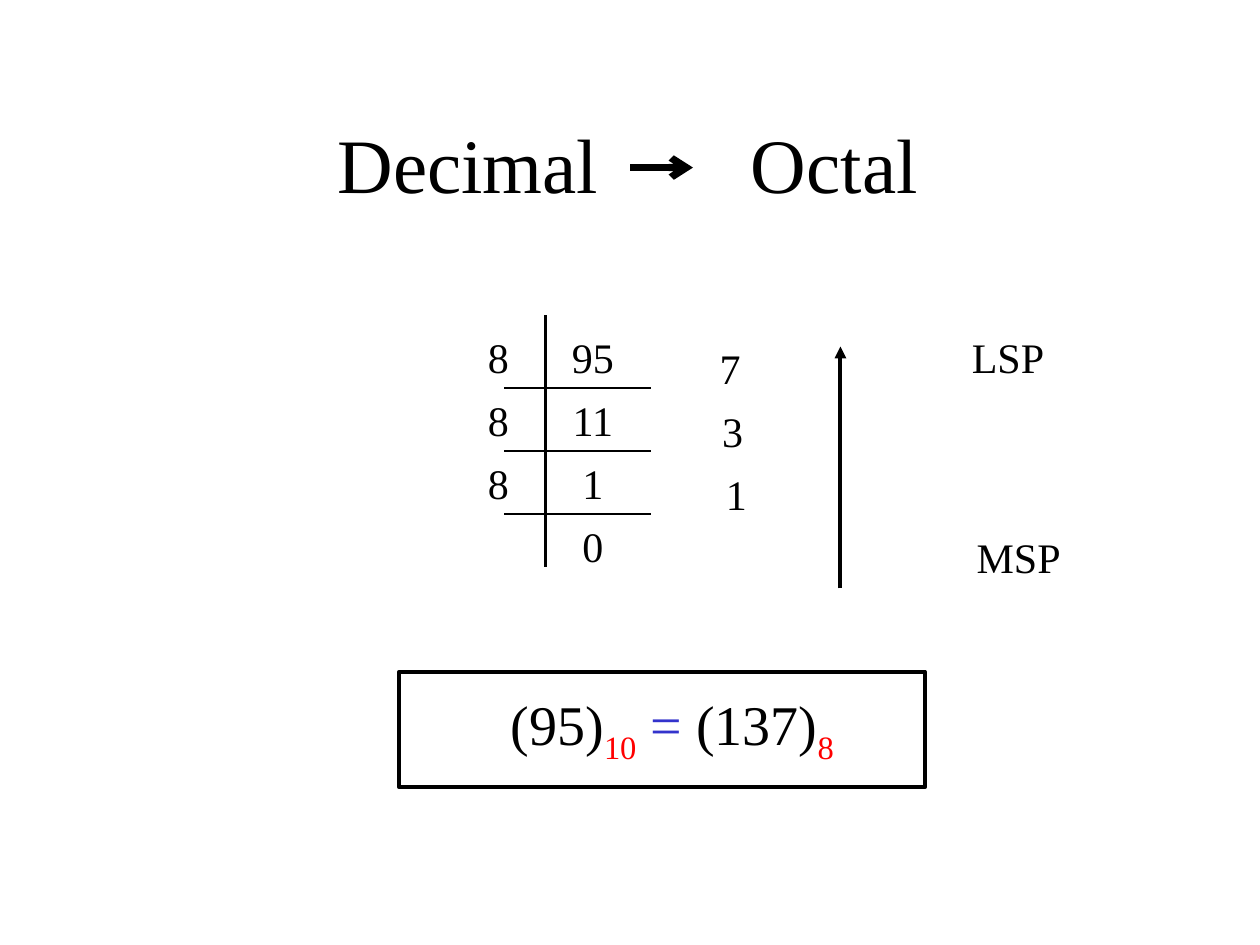
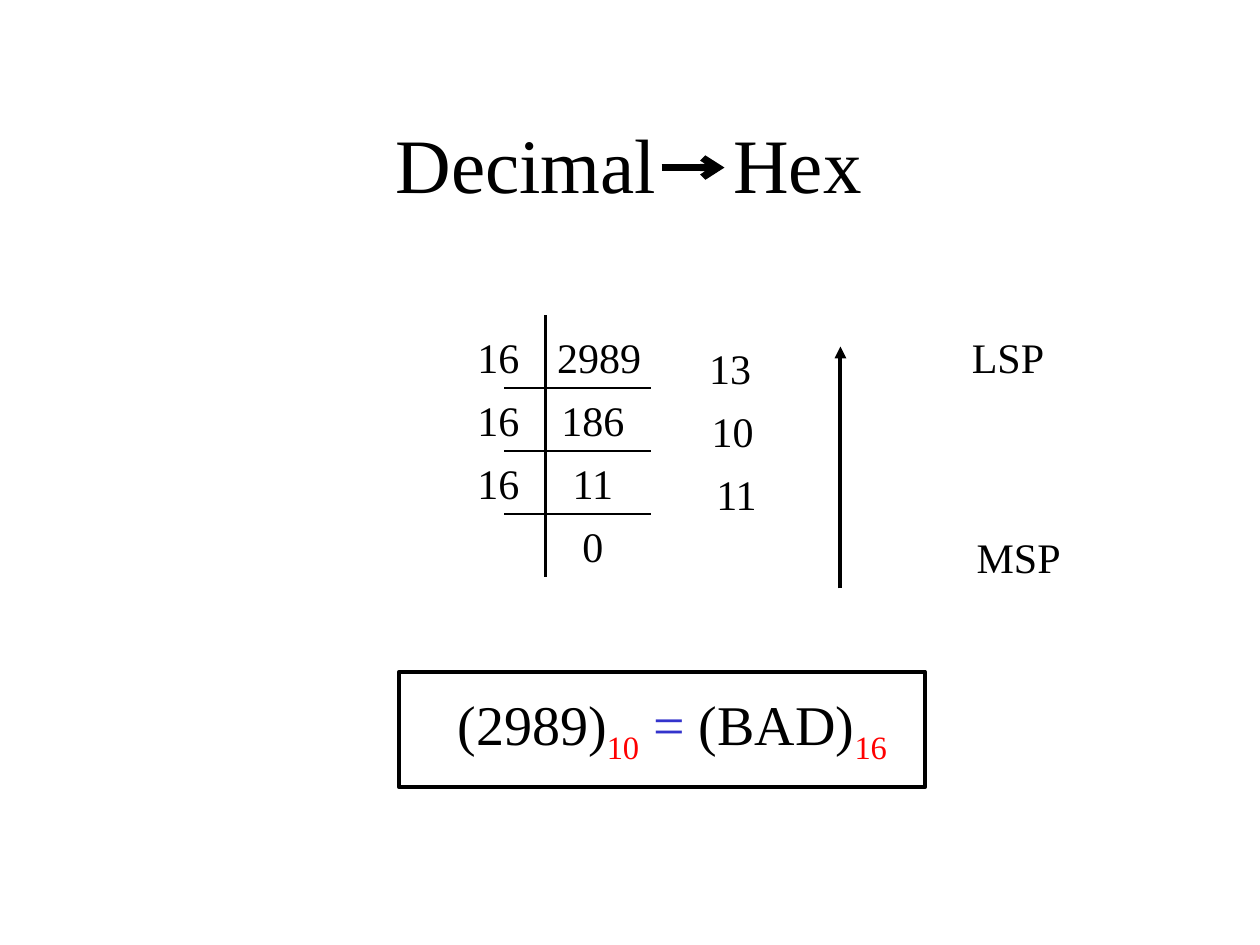
import pptx
import pptx.util
import pptx.dml.color
import pptx.enum.shapes
import pptx.enum.text
import pptx.oxml.ns
from lxml import etree

COLORS = {"ink": "000000", "base": "FF0000", "equals": "3333CC", "paper": "FFFFFF"}
FONT = "Times New Roman"
COLS, ROWS = 120, 90
STEP = 6
ALIGN = pptx.enum.text.PP_ALIGN
DIVISOR_COL, DIVIDEND_COL, REMAINDER_COL = 43, 52, 65
REMAINDER_SHIFTS = (0, 0.25, 0.7)

CONVERSIONS = [
    dict(words=("Decimal", "Octal"), word_cols=(32.2, 71.6), arrow_col=60,
         base="8", dividends=["95", "11", "1", "0"], remainders=["7", "3", "1"],
         bar_end=54, answer="137"),
    dict(words=("Decimal", "Hex"), word_cols=(37.7, 69.9), arrow_col=63,
         base="16", dividends=["2989", "186", "11", "0"], remainders=["13", "10", "11"],
         bar_end=55, answer="BAD"),
]


def grid(*units):
    return [pptx.util.Inches(round(u * 10 / COLS, 2)) for u in units]


def rgb(name):
    return pptx.dml.color.RGBColor.from_string(COLORS[name])


def sub(parent, tag, **attrs):
    return etree.SubElement(parent, pptx.oxml.ns.qn(tag), attrs)


def add_run(p, text, size=24, color="ink", baseline=None):
    r = p.add_run()
    r.text = text
    r.font.name = FONT
    r.font.size = pptx.util.Pt(size)
    r.font.color.rgb = rgb(color)
    if baseline:
        r._r.get_or_add_rPr().set("baseline", str(baseline * 1000))


def add_text(slide, col, row, width, height=STEP):
    tf = slide.shapes.add_textbox(*grid(col, row, width, height)).text_frame
    tf.word_wrap = True
    p = tf.paragraphs[0]
    p.alignment = ALIGN.CENTER
    return p


def add_label(slide, text, col, row, width=9):
    add_run(add_text(slide, col, row, width), text)


def add_line(slide, start, end, width, head=None):
    line = slide.shapes.add_connector(
        pptx.enum.shapes.MSO_CONNECTOR.STRAIGHT, *grid(*start, *end))
    line.line.color.rgb = rgb("ink")
    line.line.width = pptx.util.Pt(width)
    if head:
        sub(line.line._get_or_add_ln(), "a:tailEnd", type=head)
    sub(line._element.spPr, "a:effectLst")


def add_title(slide, words, word_cols, arrow_col):
    left, top, width, height = 9, 8, 102, 15
    sp = slide.shapes.title
    sp.left, sp.top, sp.width, sp.height = grid(left, top, width, height)
    tf = sp.text_frame
    tf.auto_size = pptx.enum.text.MSO_AUTO_SIZE.NONE
    tf.vertical_anchor = pptx.enum.text.MSO_ANCHOR.MIDDLE
    first, second = word_cols
    tf.margin_left, tab = grid(first - left, second - first)
    p = tf.paragraphs[0]
    p.alignment = ALIGN.LEFT
    tabs = sub(p._p.get_or_add_pPr(), "a:tabLst")
    sub(tabs, "a:tab", pos=str(int(tab)), algn="l")
    add_run(p, "\t".join(words), size=44)
    add_line(slide, (arrow_col, 16), (arrow_col + 6, 16), 4, head="arrow")


def add_division(slide, base, dividends, remainders, bar_end):
    add_line(slide, (DIVIDEND_COL, 30), (DIVIDEND_COL, bar_end), 1.5)
    for i, dividend in enumerate(dividends):
        col, width = (50, 14) if len(dividend) > 3 else (DIVIDEND_COL, 9)
        add_label(slide, dividend, col, 31 + i * STEP, width)
    for i, (remainder, shift) in enumerate(zip(remainders, REMAINDER_SHIFTS)):
        row = 31 + i * STEP
        add_line(slide, (48, row + STEP), (62, row + STEP), 1)
        add_label(slide, base, DIVISOR_COL, row)
        add_label(slide, remainder, REMAINDER_COL + shift, row + 1)


def add_reading_order(slide):
    add_line(slide, (80, 56), (80, 33), 2.25, head="triangle")
    add_label(slide, "LSP", 90, 31, 12)
    add_label(slide, "MSP", 89, 50, 16)


def add_result(slide, number, answer, base):
    p = add_text(slide, 15, 65, 98, 7.5)
    add_run(p, f"({number})", size=32)
    add_run(p, "10", size=32, color="base", baseline=-25)
    add_run(p, " = ", size=32, color="equals")
    add_run(p, f"({answer})", size=32)
    add_run(p, base, size=32, color="base", baseline=-25)
    sp = slide.shapes.add_shape(
        pptx.enum.shapes.MSO_SHAPE.RECTANGLE, *grid(38, 64, 50, 11))
    sp.shadow.inherit = False
    sp.fill.background()
    sp.line.color.rgb = rgb("ink")
    sp.line.width = pptx.util.Pt(2.25)


def add_conversion(prs, words, word_cols, arrow_col, base, dividends,
                   remainders, bar_end, answer):
    slide = prs.slides.add_slide(prs.slide_layouts.get_by_name("Title Only"))
    slide.background.fill.solid()
    slide.background.fill.fore_color.rgb = rgb("paper")
    add_title(slide, words, word_cols, arrow_col)
    add_division(slide, base, dividends, remainders, bar_end)
    add_reading_order(slide)
    add_result(slide, dividends[0], answer, base)


def main():
    prs = pptx.Presentation()
    prs.slide_width, prs.slide_height = grid(COLS, ROWS)
    for conversion in CONVERSIONS:
        add_conversion(prs, **conversion)
    prs.save("out.pptx")


if __name__ == "__main__":
    main()
